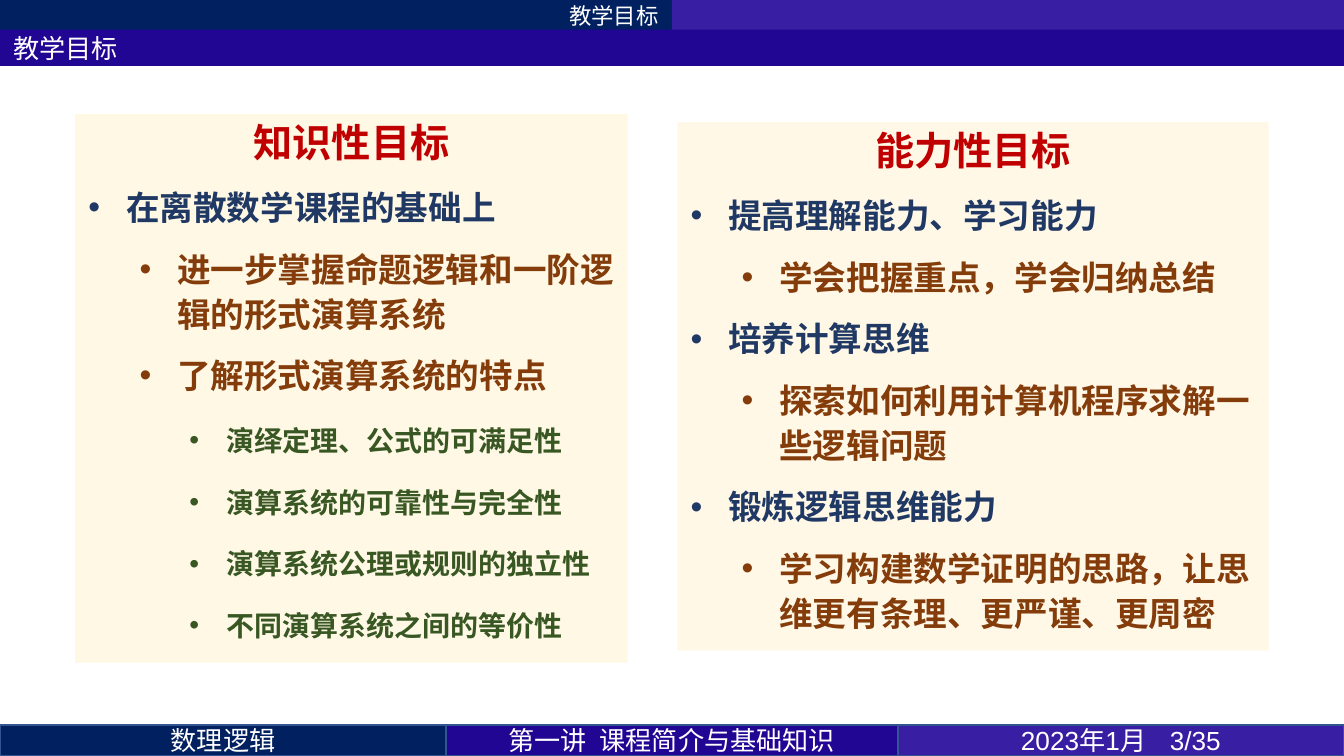
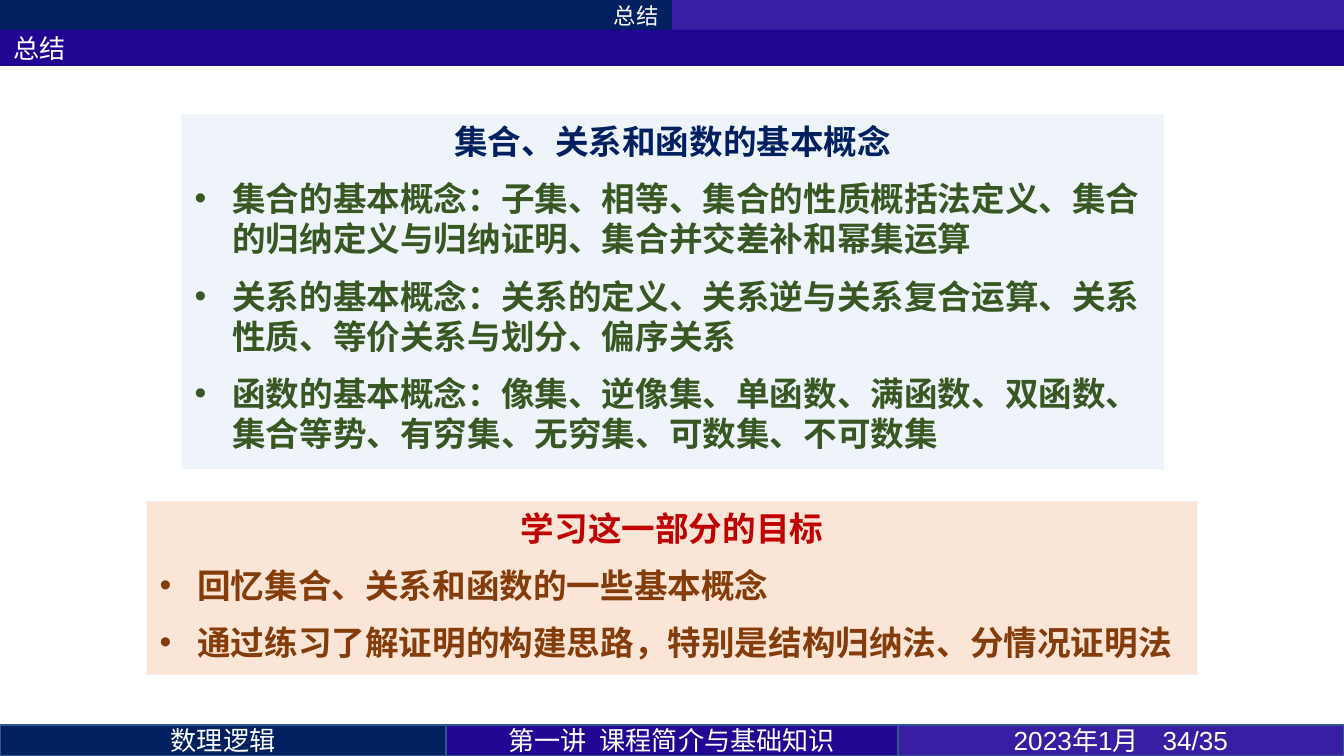
import pptx
import pptx.util
import pptx.dml.color
import pptx.enum.shapes
import pptx.enum.text
import pptx.oxml.ns
from lxml import etree

Inches, Pt = pptx.util.Inches, pptx.util.Pt
ALIGN = pptx.enum.text.PP_ALIGN
ANCHOR = pptx.enum.text.MSO_ANCHOR
qn = pptx.oxml.ns.qn

# Shared look
W = 10
H = W * 9 / 16
CJK = "Noto Sans CJK SC"
NAVY, INDIGO, VIOLET = "002060", "210694", "371EA2"
WHITE, EDGE, RED = "FFFFFF", "325491", "C00000"
BLUE, BROWN, GREEN = "203864", "843C0B", "385723"
FOOT_H = 0.23
PAGES = 35
LEVEL_INDENT = [0.28, 0.66, 1.03]
HANG = 0.28

# Font, size and colour of each outline level
GOAL_LEVELS = [("Calibri", 18, BLUE), (CJK, 18, BROWN), ("Arial", 15, GREEN)]


def rgb(color):
    return pptx.dml.color.RGBColor.from_string(color)


def add_text(p, text, font=CJK, size=14, color=WHITE, bold=False, spread=0):
    """Add one run; spread widens its characters by that many points."""
    r = p.add_run()
    r.text = text
    r.font.size, r.font.bold, r.font.name = Pt(size), bold, font
    r.font.color.rgb = rgb(color)
    rPr = r._r.get_or_add_rPr()
    etree.SubElement(rPr, qn("a:ea"), typeface=CJK)
    if spread:
        rPr.set("spc", str(round(spread * 100)))


def add_rect(slide, box, fill, line=None, opacity=100):
    sp = slide.shapes.add_shape(pptx.enum.shapes.MSO_SHAPE.RECTANGLE,
                                *map(Inches, box))
    sp.shadow.inherit = False
    sp.fill.solid()
    sp.fill.fore_color.rgb = rgb(fill)
    if opacity < 100:
        clr = sp._element.spPr.find(".//" + qn("a:srgbClr"))
        etree.SubElement(clr, qn("a:alpha"), val=str(opacity * 1000))
    if line:
        sp.line.color.rgb = rgb(line)
        sp.line.width = Pt(1)
    else:
        sp.line.fill.background()
    sp.text_frame.word_wrap = True
    return sp


def band(slide, box, fill, parts=(), align=ALIGN.CENTER, line=None, gap=0, **fmt):
    """Filled strip with one line of text, its parts set apart by gap points."""
    tf = add_rect(slide, box, fill, line).text_frame
    tf.vertical_anchor = ANCHOR.MIDDLE
    tf.margin_top = tf.margin_bottom = 0
    p = tf.paragraphs[0]
    p.alignment = align
    for i, part in enumerate(parts):
        if i:
            add_text(p, " ", spread=gap, **fmt)
        add_text(p, part, **fmt)


def header(slide, title):
    half = W / 2
    band(slide, (0, 0, half, 0.23), NAVY, [title], ALIGN.RIGHT, size=12)
    band(slide, (half, 0, half, 0.23), VIOLET)
    band(slide, (0, 0.22, W, 0.27), INDIGO, [title], ALIGN.LEFT, font="Calibri")


def footer(slide, page):
    cells = [
        (3.32, NAVY, ["数理逻辑"], CJK, 0),
        (3.36, INDIGO, ["第一讲", "课程简介与基础知识"], CJK, 3.5),
        (3.32, VIOLET, ["2023年1月", f"{page}/{PAGES}"], "Arial", 9.5),
    ]
    x = 0
    for w, fill, parts, font, gap in cells:
        band(slide, (x, H - FOOT_H, w, FOOT_H), fill, parts,
             line=EDGE, gap=gap, font=font)
        x += w


def card(slide, box, fill, heading, items, levels, head_size=18,
         head_color=RED, leading=21.6, opacity=100):
    """Tinted panel: centred heading, then (level, text) bullets."""
    tf = add_rect(slide, box, fill, opacity=opacity).text_frame
    tf.vertical_anchor = ANCHOR.TOP
    tf.auto_size = pptx.enum.text.MSO_AUTO_SIZE.SHAPE_TO_FIT_TEXT

    def space(p, align):
        p.alignment = align
        p.line_spacing = Pt(leading)
        p.space_before = p.space_after = Pt(4.5)

    p = tf.paragraphs[0]
    space(p, ALIGN.CENTER)
    add_text(p, heading, "Calibri", head_size, head_color, bold=True)
    for level, text in items:
        p = tf.add_paragraph()
        p.level = level
        space(p, ALIGN.LEFT)
        pPr = p._p.get_or_add_pPr()
        pPr.set("marL", str(Inches(LEVEL_INDENT[level])))
        pPr.set("indent", str(-Inches(HANG)))
        etree.SubElement(pPr, qn("a:buFont"), typeface="Arial")
        etree.SubElement(pPr, qn("a:buChar"), char="•")
        add_text(p, text, *levels[level], bold=True)


def new_slide(prs, title, page):
    slide = prs.slides.add_slide(prs.slide_layouts[6])
    header(slide, title)
    footer(slide, page)
    return slide


def goals_slide(prs):
    slide = new_slide(prs, "教学目标", 3)
    style = dict(levels=GOAL_LEVELS, head_size=21, leading=24)
    card(slide, (0.56, 0.85, 4.11, 4.08), "FFF2CC", "知识性目标", [
        (0, "在离散数学课程的基础上"),
        (1, "进一步掌握命题逻辑和一阶逻辑的形式演算系统"),
        (1, "了解形式演算系统的特点"),
        (2, "演绎定理、公式的可满足性"),
        (2, "演算系统的可靠性与完全性"),
        (2, "演算系统公理或规则的独立性"),
        (2, "不同演算系统之间的等价性"),
    ], opacity=50, **style)
    card(slide, (5.04, 0.91, 4.4, 3.93), "FFF2CC", "能力性目标", [
        (0, "提高理解能力、学习能力"),
        (1, "学会把握重点，学会归纳总结"),
        (0, "培养计算思维"),
        (1, "探索如何利用计算机程序求解一些逻辑问题"),
        (0, "锻炼逻辑思维能力"),
        (1, "学习构建数学证明的思路，让思维更有条理、更严谨、更周密"),
    ], opacity=47, **style)


def summary_slide(prs):
    slide = new_slide(prs, "总结", 34)
    card(slide, (1.35, 0.85, 7.31, 2.64), "DEEBF7", "集合、关系和函数的基本概念", [
        (0, "集合的基本概念：子集、相等、集合的性质概括法定义、集合的归纳定义与归纳证明、集合并交差补和幂集运算"),
        (0, "关系的基本概念：关系的定义、关系逆与关系复合运算、关系性质、等价关系与划分、偏序关系"),
        (0, "函数的基本概念：像集、逆像集、单函数、满函数、双函数、集合等势、有穷集、无穷集、可数集、不可数集"),
    ], [(CJK, 18, GREEN)], head_color=NAVY, opacity=50)
    card(slide, (1.09, 3.73, 7.82, 1.29), "FBE5D6", "学习这一部分的目标", [
        (0, "回忆集合、关系和函数的一些基本概念"),
        (0, "通过练习了解证明的构建思路，特别是结构归纳法、分情况证明法"),
    ], [(CJK, 18, BROWN)])


def main():
    prs = pptx.Presentation()
    prs.slide_width, prs.slide_height = Inches(W), Inches(H)
    goals_slide(prs)
    summary_slide(prs)
    prs.save("out.pptx")


if __name__ == "__main__":
    main()
